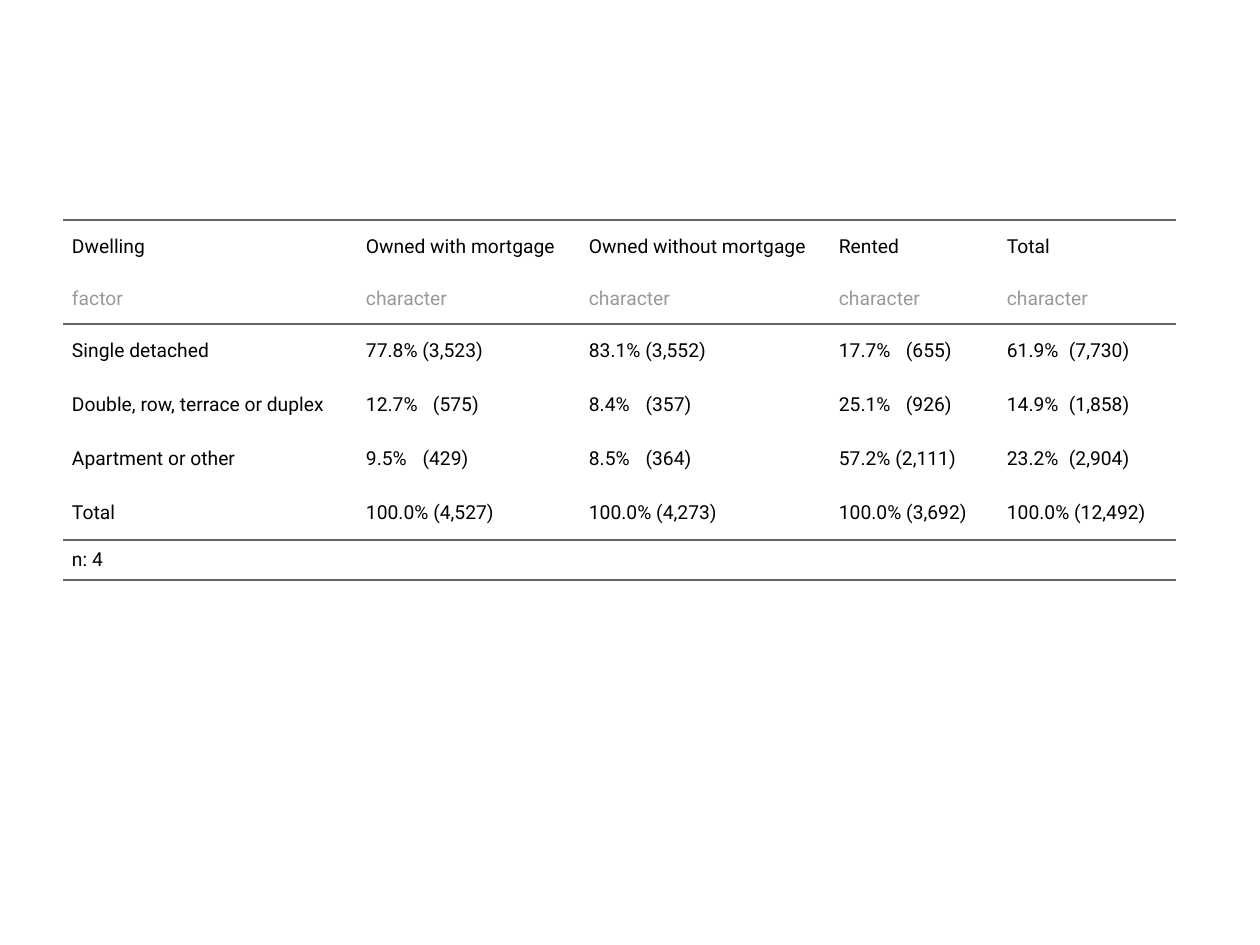
from lxml import etree
from pptx import Presentation
from pptx.dml.color import RGBColor
from pptx.enum.text import MSO_ANCHOR
from pptx.oxml.ns import qn
from pptx.util import Emu, Pt

MIDDLE = MSO_ANCHOR.MIDDLE
PX = 914400 // 126
FONT = "Roboto"
INK, MUTED, RULE = "000000", "999999", "666666"
NO_GRID_STYLE = "{2D5ABB26-0587-4C30-8999-92F81FD0307C}"
DIGIT_WIDTH, SPACE_WIDTH, INSET = 10.4, 5, 9

headings = ["Dwelling", "Owned with mortgage", "Owned without mortgage", "Rented", "Total"]
types = ["factor"] + ["character"] * 4
dwellings = [
    ("Single detached", ("77.8%", "(3,523)"), ("83.1%", "(3,552)"),
     ("17.7%", "(655)"), ("61.9%", "(7,730)")),
    ("Double, row, terrace or duplex", ("12.7%", "(575)"), ("8.4%", "(357)"),
     ("25.1%", "(926)"), ("14.9%", "(1,858)")),
    ("Apartment or other", ("9.5%", "(429)"), ("8.5%", "(364)"),
     ("57.2%", "(2,111)"), ("23.2%", "(2,904)")),
    ("Total", ("100.0%", "(4,527)"), ("100.0%", "(4,273)"),
     ("100.0%", "(3,692)"), ("100.0%", "(12,492)")),
]
footer = "n: 4"
column_widths = [294, 223, 250, 168, 178]
row_heights = [54, 50, 54, 54, 54, 54, 32]
ruled_edges = {0: "a:lnT", 1: "a:lnB", 5: "a:lnB", 6: "a:lnB"}


def px(length):
    return Emu(round(length * PX))


def color(value):
    return RGBColor.from_string(value)


def add_rule(cell, edge):
    line = etree.SubElement(cell._tc.get_or_add_tcPr(), qn(edge), w=str(Pt(1.5)))
    fill = etree.SubElement(line, qn("a:solidFill"))
    etree.SubElement(fill, qn("a:srgbClr"), val=RULE)


def add_tab_stop(paragraph, position):
    stops = etree.SubElement(paragraph._p.get_or_add_pPr(), qn("a:tabLst"))
    etree.SubElement(stops, qn("a:tab"), pos=str(px(position)), algn="l")


def write_cell(cell, content, ink, count_width):
    cell.vertical_anchor = MIDDLE
    cell.margin_left, cell.margin_right = px(INSET), 0
    cell.margin_top = cell.margin_bottom = px(9)
    paragraph = cell.text_frame.paragraphs[0]
    paragraph.space_before = paragraph.space_after = Pt(5)
    if isinstance(content, tuple):
        share, count = content
        spaces = 1 + count_width - len(count)
        paragraph.text = (" " if spaces == 1 else "\t").join(content)
        if spaces > 1:
            add_tab_stop(paragraph, DIGIT_WIDTH * len(share) + SPACE_WIDTH * spaces)
    else:
        paragraph.text = content
    for run in paragraph.runs:
        run.font.name = FONT
        run.font.size = Pt(11)
        run.font.color.rgb = color(ink)


def main():
    deck = Presentation()
    deck.slide_width, deck.slide_height = px(1260), px(945)
    slide = deck.slides.add_slide(deck.slide_layouts[6])
    rows = [headings, types, *dwellings, [footer]]
    table = slide.shapes.add_table(
        len(rows), len(headings), px(63), px(220),
        px(sum(column_widths)), px(sum(row_heights))).table
    table.first_row = table.horz_banding = False
    table._tbl.tblPr.find(qn("a:tableStyleId")).text = NO_GRID_STYLE
    for column, width in zip(table.columns, column_widths):
        column.width = px(width)
    for row, height in zip(table.rows, row_heights):
        row.height = px(height)

    last = len(rows) - 1
    table.cell(last, 0).merge(table.cell(last, len(headings) - 1))
    count_widths = [0] + [max(len(row[c][1]) for row in dwellings)
                          for c in range(1, len(headings))]
    for r, contents in enumerate(rows):
        for c in range(len(headings)):
            cell = table.cell(r, c)
            if r in ruled_edges:
                add_rule(cell, ruled_edges[r])
            cell.fill.background()
            if c < len(contents):
                write_cell(cell, contents[c], MUTED if r == 1 else INK, count_widths[c])
    deck.save("out.pptx")


if __name__ == "__main__":
    main()
